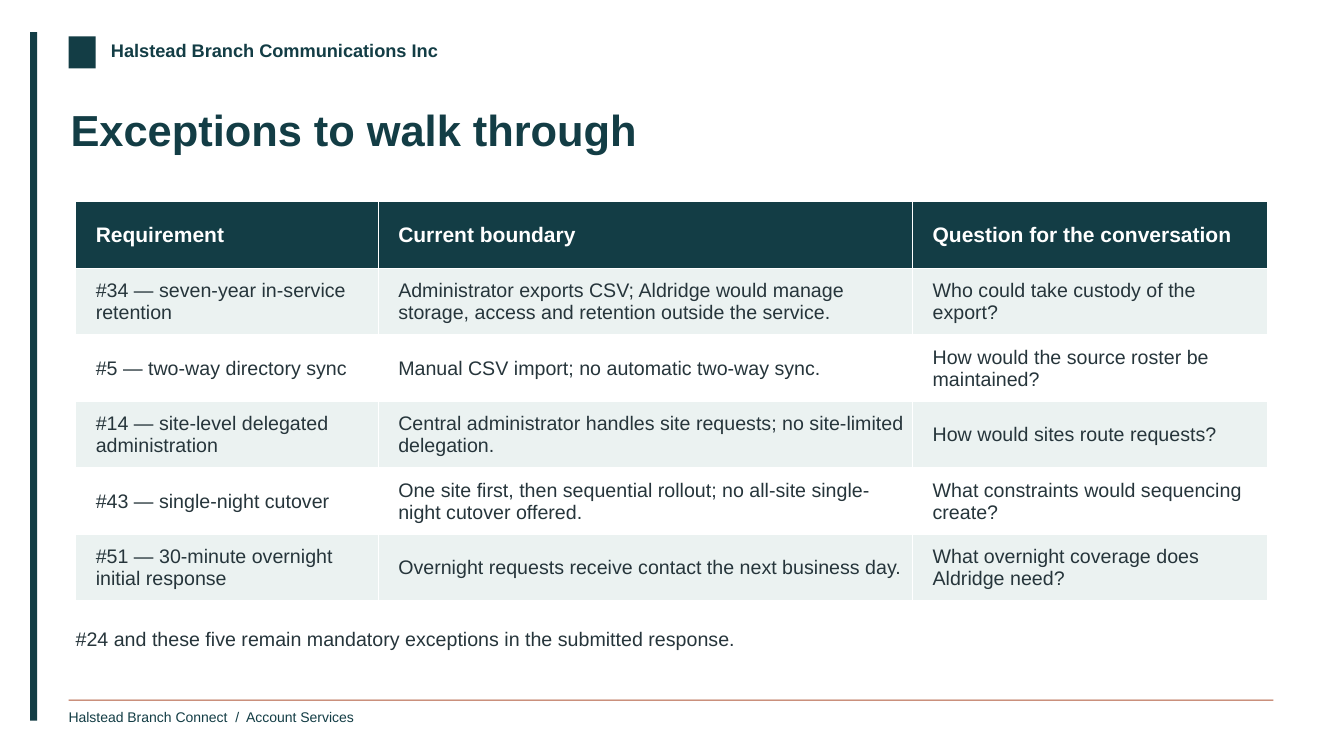
from dataclasses import dataclass

from pptx import Presentation
from pptx import util as u
from pptx.dml.color import RGBColor
from pptx.enum import shapes, text
from pptx.slide import Slide

PX = 9144  # EMU per px, 100 px to the inch
FONT = "Arial"
TEAL, RUST, INK, WHITE, MIST = "133D45", "AF5636", "26353B", "FFFFFF", "EBF2F1"


@dataclass
class Bar:
    left: int
    top: int
    width: int
    height: int
    color: str


@dataclass
class Label:
    left: int
    top: int
    width: int
    height: int
    wording: str
    size: int
    color: str
    bold: bool = False


BARS = [
    Bar(30, 32, 7, 683, TEAL),  # side rail
    Bar(68, 36, 27, 32, TEAL),  # plain brand block
    Bar(68, 694, 1195, 1, RUST),  # footer rule
]

LABELS = [
    Label(110, 39, 355, 27, "Halstead Branch Communications Inc", 13, TEAL, bold=True),
    Label(68, 703, 340, 23, "Halstead Branch Connect  /  Account Services", 10, TEAL),
    Label(70, 102, 1190, 86, "Exceptions to walk through", 31, TEAL, bold=True),
    Label(75, 622, 1182, 44,
          "#24 and these five remain mandatory exceptions in the submitted response.",
          14, INK),
]

COLUMN_WIDTHS = [300, 530, 352]
ROW_HEIGHT = 66
EXCEPTIONS = [
    ("Requirement", "Current boundary", "Question for the conversation"),
    ("#34 — seven-year in-service retention",
     "Administrator exports CSV; Aldridge would manage storage, access and retention "
     "outside the service.",
     "Who could take custody of the export?"),
    ("#5 — two-way directory sync",
     "Manual CSV import; no automatic two-way sync.",
     "How would the source roster be maintained?"),
    ("#14 — site-level delegated administration",
     "Central administrator handles site requests; no site-limited delegation.",
     "How would sites route requests?"),
    ("#43 — single-night cutover",
     "One site first, then sequential rollout; no all-site single-night cutover offered.",
     "What constraints would sequencing create?"),
    ("#51 — 30-minute overnight initial response",
     "Overnight requests receive contact the next business day.",
     "What overnight coverage does Aldridge need?"),
]


def px(length: int) -> u.Emu:
    return u.Emu(length * PX)


def paint(fill, color: str) -> None:
    fill.solid()
    fill.fore_color.rgb = RGBColor.from_string(color)


def set_font(font, size: int, color: str, bold: bool) -> None:
    font.name = FONT
    font.size = u.Pt(size)
    font.bold = bold
    font.color.rgb = RGBColor.from_string(color)


def set_margins(holder, left: int, top: int, right: int, bottom: int) -> None:
    """Set the insets of a text frame or a table cell."""
    holder.margin_left, holder.margin_top = px(left), px(top)
    holder.margin_right, holder.margin_bottom = px(right), px(bottom)


def add_bar(page: Slide, bar: Bar) -> None:
    shape = page.shapes.add_shape(
        shapes.MSO_SHAPE.RECTANGLE,
        px(bar.left), px(bar.top), px(bar.width), px(bar.height))
    shape.shadow.inherit = False
    paint(shape.fill, bar.color)
    shape.line.fill.background()


def add_label(page: Slide, label: Label) -> None:
    box = page.shapes.add_textbox(
        px(label.left), px(label.top), px(label.width), px(label.height))
    frame = box.text_frame
    frame.word_wrap = True
    set_margins(frame, 0, 0, 0, 0)
    frame.text = label.wording
    set_font(frame.paragraphs[0].runs[0].font, label.size, label.color, label.bold)


def add_exceptions_table(page: Slide, left: int, top: int) -> None:
    """Draw the table; its default style supplies the white cell borders."""
    table = page.shapes.add_table(
        len(EXCEPTIONS), len(COLUMN_WIDTHS), px(left), px(top),
        px(sum(COLUMN_WIDTHS)), px(ROW_HEIGHT * len(EXCEPTIONS))).table
    for column, width in zip(table.columns, COLUMN_WIDTHS):
        column.width = px(width)
    for index, (row, wordings) in enumerate(zip(table.rows, EXCEPTIONS)):
        row.height = px(ROW_HEIGHT)
        header = index == 0
        background = TEAL if header else MIST if index % 2 else WHITE
        for cell, wording in zip(row.cells, wordings):
            paint(cell.fill, background)
            set_margins(cell, 20, 4, 8, 3)
            cell.vertical_anchor = text.MSO_ANCHOR.MIDDLE
            cell.text_frame.text = wording
            span = cell.text_frame.paragraphs[0].runs[0]
            set_font(span.font, 15 if header else 14, WHITE if header else INK, header)


def main() -> None:
    deck = Presentation()
    deck.slide_width, deck.slide_height = px(1333), px(750)
    page = deck.slides.add_slide(deck.slide_layouts[6])
    paint(page.background.fill, WHITE)
    for bar in BARS:
        add_bar(page, bar)
    for label in LABELS:
        add_label(page, label)
    add_exceptions_table(page, 75, 200)
    deck.save("out.pptx")


if __name__ == "__main__":
    main()
